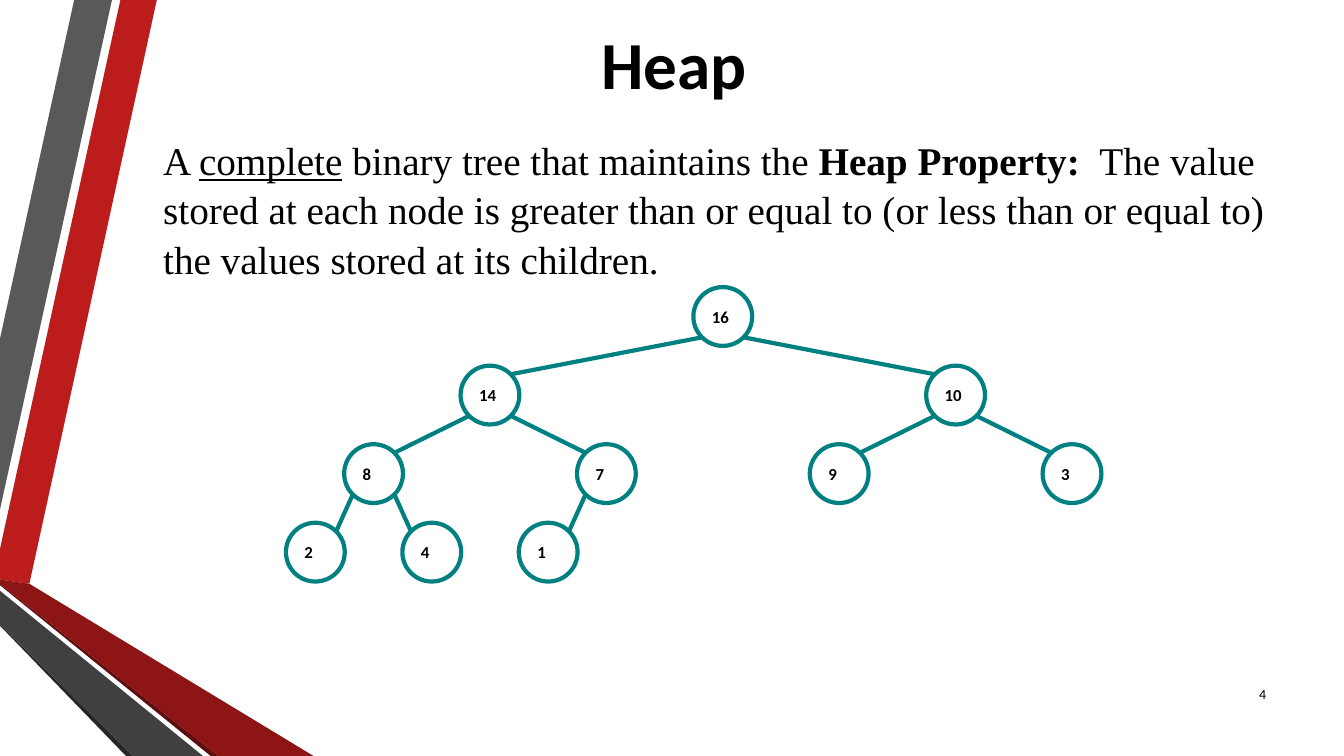
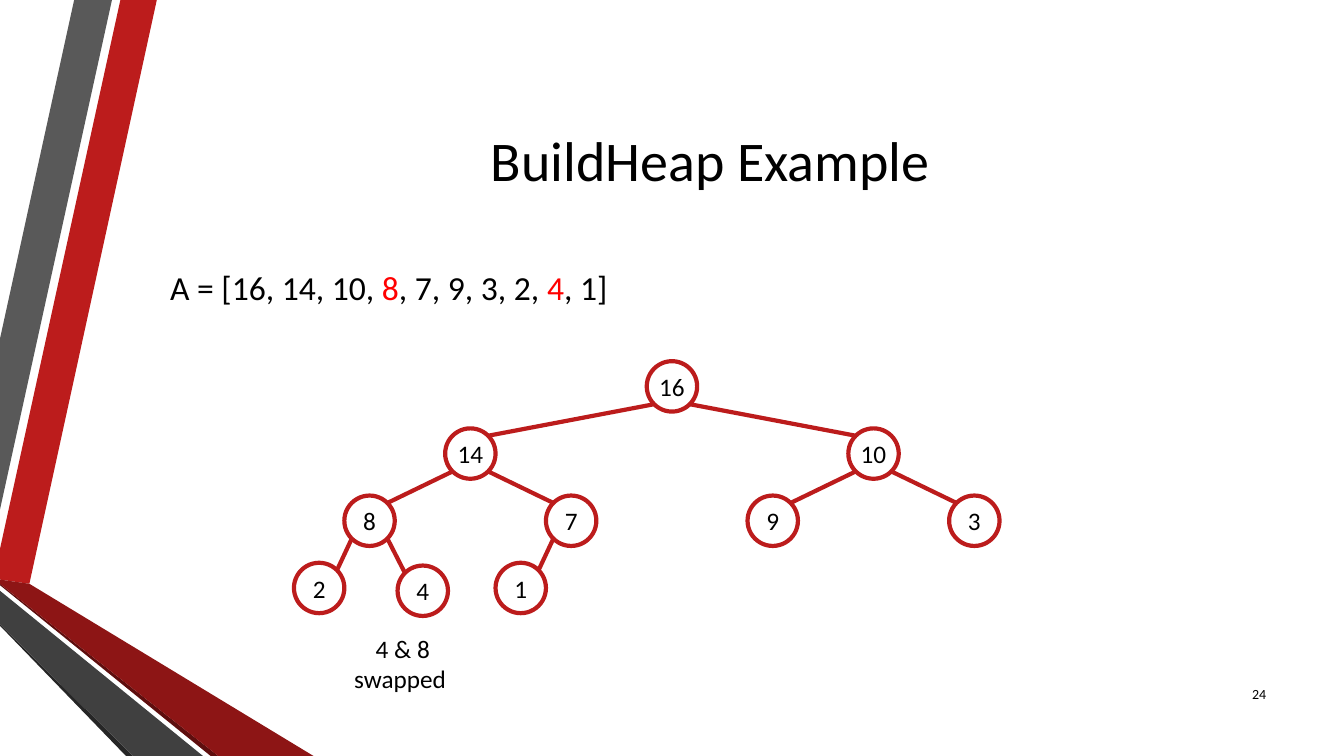
from math import log2, sqrt

from lxml import etree
from pptx import Presentation
from pptx.dml.color import RGBColor
from pptx.enum import shapes, text
from pptx.oxml.ns import qn
from pptx.util import Pt

COLORS = {
    "black": "000000", "white": "FFFFFF", "teal": "008080", "accent": "FF0000",
    "red": "BC1C1C", "dark_red": "8D1515", "deep_red": "5E0E0E",
    "gray": "595959", "dark_gray": "404040", "deep_gray": "262626",
}
BANDS = [
    ("red", [(0, 392), (0, 414), (21, 417), (112, 0), (86, 0)]),
    ("gray", [(80, 0), (53, 0), (0, 242), (0, 364)]),
    ("deep_gray", [(0, 446), (0, 447), (90, 540), (95, 540)]),
    ("deep_red", [(0, 417), (0, 418), (150.5, 540), (156, 540)]),
    ("dark_red", [(0, 417), (156, 540), (224, 540), (21, 417), (0, 414)]),
    ("dark_gray", [(0, 446), (95, 540), (145, 540), (0, 422)]),
]
HEAP = [16, 14, 10, 8, 7, 9, 3, 2, 4, 1]
LEFT, CENTER, RIGHT = text.PP_ALIGN.LEFT, text.PP_ALIGN.CENTER, text.PP_ALIGN.RIGHT
TOP, MIDDLE = text.MSO_ANCHOR.TOP, text.MSO_ANCHOR.MIDDLE

SLIDES = [
    {
        "title": "Heap",
        "title_box": (73.5, 15, 816, 59),
        "title_format": {"size": 48, "bold": True},
        "body": [
            ("A ", {}),
            ("complete", {"underline": True}),
            (" binary tree that maintains the ", {}),
            ("Heap Property:  ", {"bold": True}),
            ("The value stored at each node is greater than or equal to "
             "(or less than or equal to) the values stored at its children.", {}),
        ],
        "body_box": (109.5, 92, 803, 156),
        "body_format": {"size": 28, "font": "Times New Roman", "spacing": 1.05},
        "tree": {"x": 516.3, "y": 226.1, "spread": 166.3, "pitch": 56.1,
                 "size": 42, "color": "teal"},
        "node_format": {"size": 12, "bold": True},
        "number": "4",
    },
    {
        "title": "BuildHeap Example",
        "title_box": (103, 36, 808.5, 156),
        "title_format": {"size": 40},
        "body": [
            ("A = [16, 14, 10,", {}),
            (" 8", {"color": "accent"}),
            (", 7, 9, 3, 2, ", {}),
            ("4", {"color": "accent"}),
            (", 1]", {}),
        ],
        "body_box": (114.5, 187, 808.5, 233),
        "body_format": {"size": 24},
        "tree": {"x": 480, "y": 276, "spread": 144, "pitch": 48,
                 "size": 36, "color": "red", "shifts": {4: (2, 2)}},
        "node_format": {"size": 18, "align": CENTER},
        "caption": ["4 & 8", "swapped "],
        "caption_box": (245, 448.5, 85.5, 51),
        "number": "24",
    },
]


def rgb(name):
    return RGBColor.from_string(COLORS[name])


def write(sp, paragraphs, size=18, font="Calibri", color="black", bold=False,
          align=LEFT, anchor=TOP, wrap=True, spacing=1.0):
    tf = sp.text_frame
    tf.word_wrap = wrap
    tf.vertical_anchor = anchor
    for i, runs in enumerate(paragraphs):
        p = tf.add_paragraph() if i else tf.paragraphs[0]
        p.alignment = align
        p.line_spacing = spacing
        for words, style in runs:
            r = p.add_run()
            r.text = words
            r.font.name = font
            r.font.size = Pt(size)
            r.font.bold = style.get("bold", bold)
            r.font.underline = style.get("underline", False)
            r.font.color.rgb = rgb(style.get("color", color))


def add_text(s, box, paragraphs, **fmt):
    write(s.shapes.add_textbox(*map(Pt, box)), paragraphs, **fmt)


def add_bands(s):
    for color, points in BANDS:
        start, *rest = [(Pt(x), Pt(y)) for x, y in points]
        builder = s.shapes.build_freeform(*start)
        builder.add_line_segments(rest, close=True)
        sp = builder.convert_to_shape()
        sp.shadow.inherit = False
        sp.fill.solid()
        sp.fill.fore_color.rgb = rgb(color)
        sp.line.fill.background()


def node_centers(x, y, spread, pitch, shifts):
    centers = [(x, y)]
    for i in range(1, len(HEAP)):
        px, py = centers[(i - 1) // 2]
        step = spread / 2 ** (int(log2(i + 1)) - 1)
        dx, dy = shifts.get(HEAP[i], (0, 0))
        centers.append((px + (step if i % 2 == 0 else -step) + dx, py + pitch + dy))
    return centers


def add_tree(s, node_format, x, y, spread, pitch, size, color, shifts={}):
    centers = node_centers(x, y, spread, pitch, shifts)
    for value, (cx, cy) in zip(HEAP, centers):
        sp = s.shapes.add_shape(shapes.MSO_SHAPE.OVAL, Pt(cx - size / 2),
                                Pt(cy - size / 2), Pt(size), Pt(size))
        sp.shadow.inherit = False
        sp.fill.solid()
        sp.fill.fore_color.rgb = rgb("white")
        sp.line.color.rgb = rgb(color)
        sp.line.width = Pt(3)
        write(sp, [[(str(value), {})]], anchor=MIDDLE, wrap=False, **node_format)
    corner = size / 2 / sqrt(2)
    for i in range(1, len(HEAP)):
        (px, py), (cx, cy) = centers[(i - 1) // 2], centers[i]
        dx = corner if cx > px else -corner
        ends = (px + dx, py + corner, cx - dx, cy - corner)
        edge = s.shapes.add_connector(shapes.MSO_CONNECTOR.STRAIGHT, *map(Pt, ends))
        edge.line.color.rgb = rgb(color)
        edge.line.width = Pt(3)
        etree.SubElement(edge._element.spPr, qn("a:effectLst"))


def add_slide(prs, content):
    s = prs.slides.add_slide(prs.slide_layouts[6])
    add_bands(s)
    add_text(s, content["title_box"], [[(content["title"], {})]],
             align=CENTER, anchor=MIDDLE, **content["title_format"])
    add_text(s, content["body_box"], [content["body"]], **content["body_format"])
    add_tree(s, content["node_format"], **content["tree"])
    if "caption" in content:
        add_text(s, content["caption_box"], [[(line, {})] for line in content["caption"]],
                 align=CENTER, wrap=False)
    add_text(s, (867, 481, 44.5, 29), [[(content["number"], {})]],
             size=10, align=RIGHT, anchor=MIDDLE)


def main():
    prs = Presentation()
    prs.slide_width, prs.slide_height = Pt(960), Pt(540)
    for content in SLIDES:
        add_slide(prs, content)
    prs.save("out.pptx")


if __name__ == "__main__":
    main()
